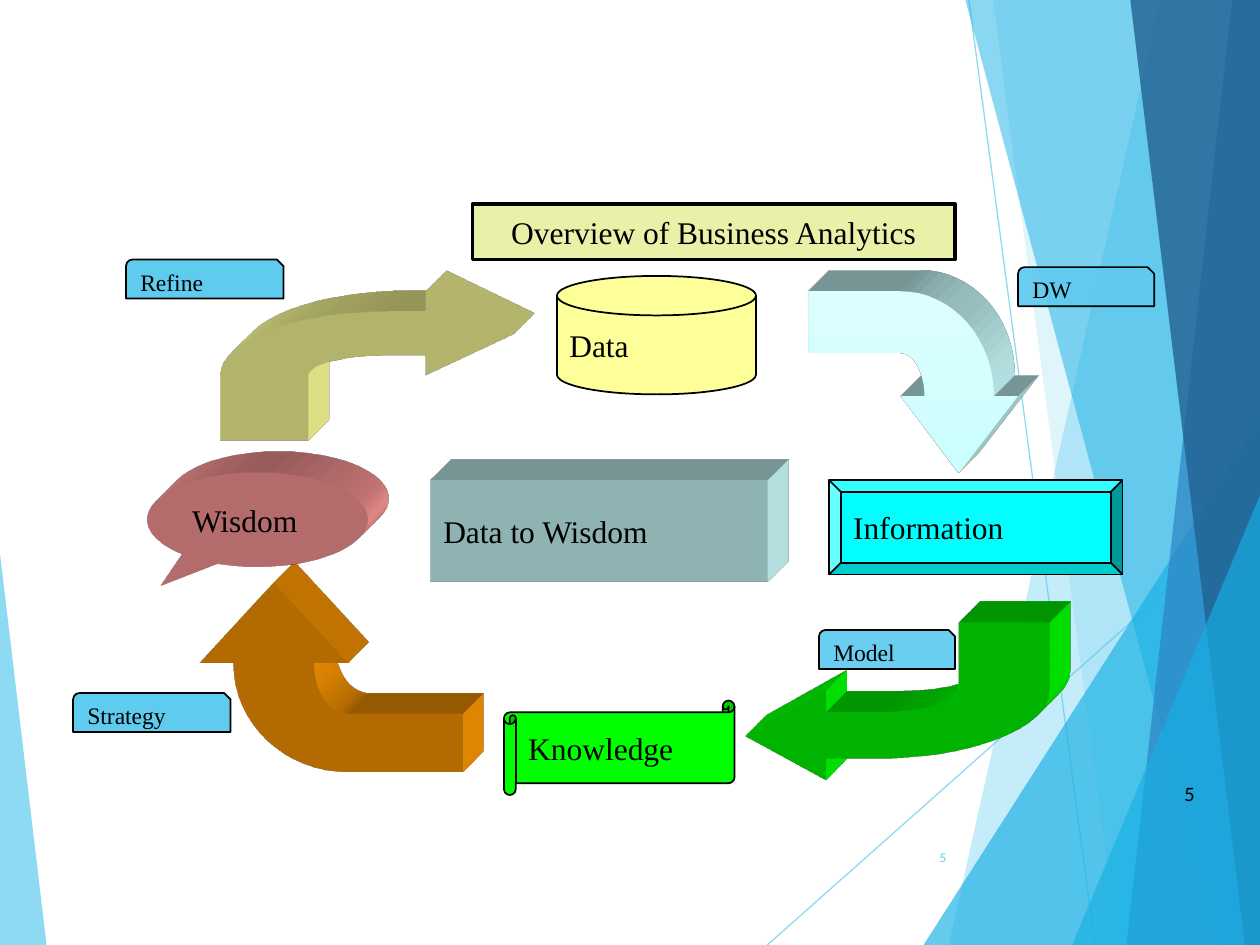
"""Draws the data-to-wisdom cycle of business analytics."""
from lxml import etree
from pptx import Presentation
from pptx.dml.color import RGBColor
from pptx.enum.shapes import MSO_CONNECTOR, MSO_SHAPE as Kind
from pptx.enum.text import MSO_ANCHOR as Anchor, PP_ALIGN as Align
from pptx.oxml import parse_xml
from pptx.oxml.ns import nsdecls, qn
from pptx.util import Inches, Pt

deck = Presentation()
deck.slide_width, deck.slide_height = Inches(10), Inches(7.5)
slide = deck.slides.add_slide(deck.slide_layouts[6])
shapes = slide.shapes


def paint(part, tint, alpha=100):
    part.solid()
    part.fore_color.rgb = RGBColor.from_string(tint)
    if alpha < 100:
        node = part._xPr.find(qn("a:solidFill"))[0]
        etree.SubElement(node, qn("a:alpha")).set("val", str(alpha * 1000))


def trace(steps, tint, alpha=100):
    dots = [steps[0]]
    for step in steps[1:]:
        if len(step) == 2:
            dots.append(step)
            continue
        ends = [dots[-1], step[:2], step[2:4], step[4:]]
        for i in range(1, 17):
            t = i / 16
            mix = [(1 - t) ** 3, 3 * t * (1 - t) ** 2, 3 * t * t * (1 - t), t ** 3]
            dots.append(tuple(sum(m * e[k] for m, e in zip(mix, ends)) for k in (0, 1)))
    spots = [(Inches(x), Inches(y)) for x, y in dots]
    pen = shapes.build_freeform(*spots[0])
    pen.add_line_segments(spots[1:], close=True)
    shape = pen.convert_to_shape()
    shape.shadow.inherit = False
    paint(shape.fill, tint, alpha)
    shape.line.fill.background()
    return shape


for x1, y1, x2, y2 in [(7.69, 0, 8.69, 7.5), (10, 4.03, 6.09, 7.5)]:
    ray = shapes.add_connector(
        MSO_CONNECTOR.STRAIGHT, Inches(x1), Inches(y1), Inches(x2), Inches(y2))
    paint(ray.line.fill, "5FCBEF", 70)
    ray.line.width = Pt(0.75)
    etree.SubElement(ray._element.spPr, qn("a:effectLst"))

bands = [
    (9.21, 7.53, "5FCBEF", 36), (7.88, 8.87, "5FCBEF", 20),
    (10, 7.33, "17B0E4", 66, 3.33), (7.66, 9.68, "17B0E4", 50),
    (9.78, 8.94, "2E83C3", 70), (8.97, 9.88, "226292", 80),
    (10, 8.51, "17B0E4", 66, 3.93), (0, 0, "5FCBEF", 70, 4.39, 0.37),
]
for head, foot, tint, alpha, *rest in bands:
    if not rest:
        trace([(head, -0.01), (10, -0.01), (10, 7.5), (foot, 7.5)], tint, alpha)
        continue
    top = rest[0]
    wide = rest[1] if len(rest) > 1 else 10 - foot
    wedge = shapes.add_shape(Kind.ISOSCELES_TRIANGLE, Inches(foot), Inches(top),
                             Inches(wide), Inches(7.5 - top))
    wedge.adjustments[0] = 1 if head else 0
    wedge.shadow.inherit = False
    paint(wedge.fill, tint, alpha)
    wedge.line.fill.background()

for x, y, w, h, size, tint, anchor in [
    (7.05, 6.61, 0.56, 0.4, 6.8, "5FCBEF", Anchor.MIDDLE),
    (7.25, 6.17, 2.33, 0.39, 10.5, "000000", Anchor.TOP),
]:
    box = shapes.add_textbox(Inches(x), Inches(y), Inches(w), Inches(h))
    frame = box.text_frame
    frame.word_wrap, frame.vertical_anchor = True, anchor
    para = frame.paragraphs[0]
    para.text, para.alignment = "5", Align.RIGHT
    para.font.name, para.font.size = "Lato", Pt(size)
    paint(para.font.fill, tint)

arrows = [
    ("FFFF99", [(4.08, 2.65), (3.38, 2.31), (3.38, 2.47), (3.09, 2.47),
                (2.35, 2.47, 1.75, 2.7, 1.75, 2.98), (1.75, 3.5), (2.45, 3.5),
                (2.45, 2.98), (2.45, 2.89, 2.74, 2.82, 3.09, 2.82),
                (3.38, 2.82), (3.38, 2.98)]),
    ("FF9900", [(2.17, 4.62), (1.58, 5.26), (1.85, 5.26),
                (1.85, 5.74, 2.26, 6.12, 2.76, 6.12), (3.67, 6.12), (3.67, 5.66),
                (2.76, 5.66), (2.61, 5.66, 2.49, 5.48, 2.49, 5.26), (2.76, 5.26)]),
    ("00FF00", [(5.92, 5.84), (6.56, 6.19), (6.56, 6.02), (6.94, 6.02),
                (7.71, 6.02, 8.33, 5.78, 8.33, 5.48), (8.33, 4.94), (7.61, 4.94),
                (7.61, 5.48), (7.61, 5.58, 7.31, 5.65, 6.94, 5.65),
                (6.56, 5.65), (6.56, 5.48)]),
    ("CCFFFF", [(7.61, 3.75), (8.08, 3.14), (7.89, 3.14),
                (7.89, 2.68, 7.56, 2.31, 7.15, 2.31), (6.42, 2.31), (6.42, 2.8),
                (7.15, 2.8), (7.25, 2.8, 7.34, 2.95, 7.34, 3.14), (7.15, 3.14)]),
]
solids = [(trace(steps, tint), tint) for tint, steps in arrows]
fade = solids[-1][0].fill
fade.gradient()
fade.gradient_angle = 90
for stop, tint, place in zip(fade.gradient_stops, ("CCFFFF", "DDFFFF"), (0, 1)):
    stop.color.rgb = RGBColor.from_string(tint)
    stop.position = place

snip = Kind.SNIP_ROUND_RECTANGLE
nodes = [
    ("Knowledge", Kind.HORIZONTAL_SCROLL, 4, 5.56, 1.83, 0.75, "00FF00", 1),
    ("Information", Kind.BEVEL, 6.58, 3.81, 2.33, 0.75, "00FFFF", 1),
    ("Wisdom", Kind.OVAL_CALLOUT, 1.17, 3.75, 1.75, 0.75, "FF9999", 0),
    ("Data", Kind.FLOWCHART_MAGNETIC_DISK, 4.42, 2.19, 1.58, 0.94, "FFFF99", 1),
    ("Data to Wisdom", Kind.RECTANGLE, 3.42, 3.81, 2.67, 0.81, "CCFFFF", 0),
    ("Overview of Business Analytics", Kind.RECTANGLE,
     3.75, 1.62, 3.83, 0.44, "E9F0A8", 2),
    ("Model", snip, 6.5, 5, 1.08, 0.31, "5FCBEF", 1),
    ("Strategy", snip, 0.58, 5.5, 1.25, 0.31, "5FCBEF", 1),
    ("Refine", snip, 1, 2.06, 1.25, 0.31, "5FCBEF", 1),
    ("DW", snip, 8.08, 2.12, 1.08, 0.31, "5FCBEF", 1),
]
for text, kind, x, y, w, h, tint, edge in nodes:
    node = shapes.add_shape(kind, Inches(x), Inches(y), Inches(w), Inches(h))
    node.shadow.inherit = False
    paint(node.fill, tint, 93 if text in ("Model", "DW") else 100)
    if edge:
        paint(node.line.fill, "000000")
        node.line.width = Pt(edge)
    else:
        node.line.fill.background()
        solids.append((node, tint))
    if kind == Kind.OVAL_CALLOUT:
        node.adjustments[0], node.adjustments[1] = -0.44, 0.7
    frame = node.text_frame
    frame.word_wrap = False
    frame.vertical_anchor = Anchor.TOP if kind == snip else Anchor.MIDDLE
    para = frame.paragraphs[0]
    para.text = text
    para.alignment = Align.CENTER if edge == 2 else Align.LEFT
    para.font.name = "Times New Roman"
    para.font.size = Pt(13.5 if kind == snip else 18)
    paint(para.font.fill, "000000")

for solid, tint in solids:
    props = solid._element.spPr
    props.append(parse_xml(
        f'<a:scene3d {nsdecls("a")}><a:camera prst="legacyObliqueTopRight"/>'
        '<a:lightRig rig="legacyFlat3" dir="b"/></a:scene3d>'))
    props.append(parse_xml(
        f'<a:sp3d {nsdecls("a")} extrusionH="430200" prstMaterial="legacyMatte">'
        f'<a:extrusionClr><a:srgbClr val="{tint}"/></a:extrusionClr></a:sp3d>'))

deck.save("out.pptx")
